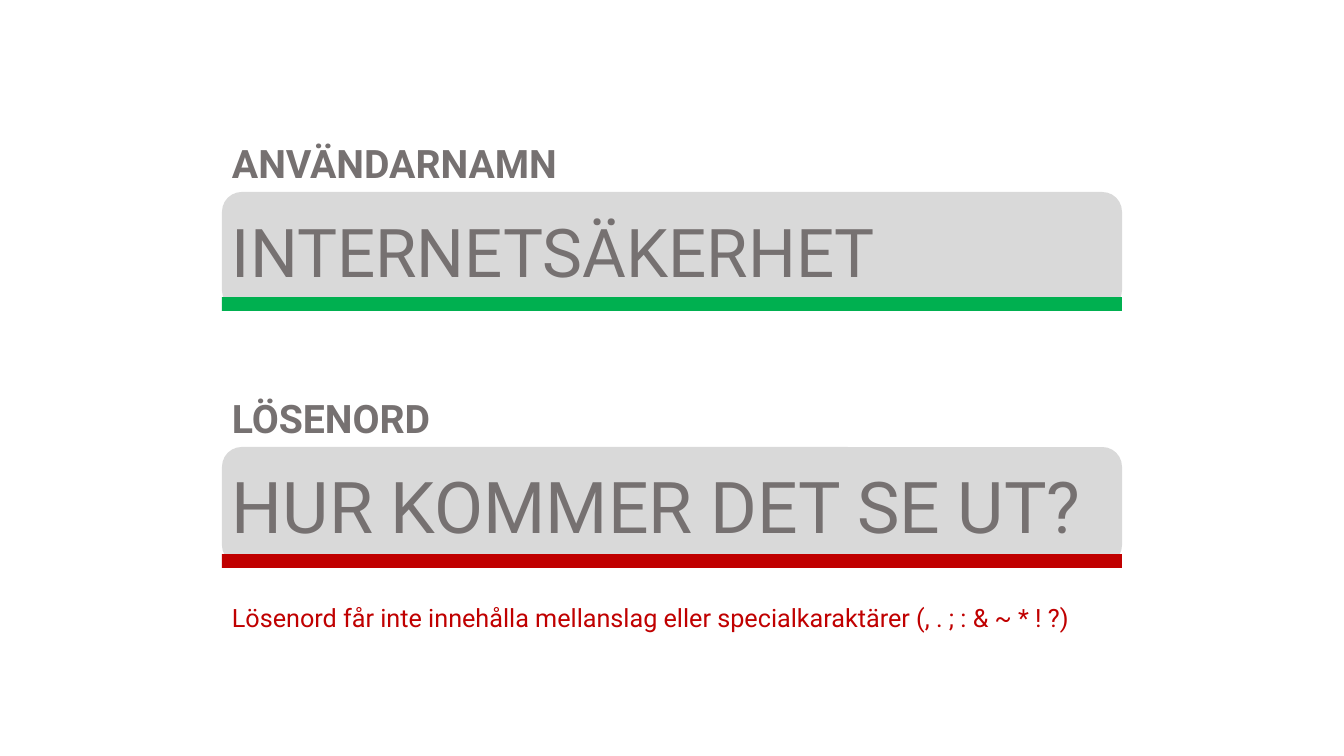
from pptx import Presentation
from pptx.dml.color import RGBColor
from pptx.enum.shapes import MSO_SHAPE as Shape
from pptx.enum.text import MSO_ANCHOR as Anchor, PP_ALIGN as Align
from pptx.util import Emu, Pt

GREY = RGBColor(0x76, 0x71, 0x71)
PALE = RGBColor(0xD9, 0xD9, 0xD9)
GREEN = RGBColor(0x00, 0xB0, 0x50)
RED = RGBColor(0xC0, 0x00, 0x00)
FONT = "Roboto"
LEFT, WIDTH = 222, 900
ROW = 88


def px(n):
    return Emu(round(n * 12192000 / 1344))


def frame(top, height):
    return px(LEFT), px(top), px(WIDTH), px(height)


def add_box(slide, kind, top, height, color):
    box = slide.shapes.add_shape(kind, *frame(top, height))
    box.shadow.inherit = False
    box.fill.solid()
    box.fill.fore_color.rgb = color
    box.line.fill.background()


def add_text(slide, top, height, text, size, color=GREY, bold=False, space=0.9):
    body = slide.shapes.add_textbox(*frame(top, height)).text_frame
    body.word_wrap = True
    body.vertical_anchor = Anchor.BOTTOM
    para = body.paragraphs[0]
    para.alignment = Align.LEFT
    para.line_spacing = space
    run = para.add_run()
    run.text = text
    run.font.name = FONT
    run.font.size = Pt(size)
    run.font.bold = bold
    run.font.color.rgb = color


def add_field(slide, top, bar, color, label, value, size, space):
    add_box(slide, Shape.ROUNDED_RECTANGLE, top, 118, PALE)
    add_box(slide, Shape.RECTANGLE, bar, 14, color)
    add_text(slide, top + 17, ROW, value, size, space=space)
    add_text(slide, top - ROW, ROW, label, 28, bold=True)


def main():
    deck = Presentation()
    deck.slide_width, deck.slide_height = px(1344), px(756)
    slide = deck.slides.add_slide(deck.slide_layouts[6])
    add_field(slide, 192, 297, GREEN, "ANVÄNDARNAMN", "INTERNETSÄKERHET", 48, 0.9)
    add_field(slide, 447, 554, RED, "LÖSENORD", "HUR KOMMER DET SE UT?", 51, 0.8)
    add_text(slide, 583, 55,
             "Lösenord får inte innehålla mellanslag eller specialkaraktärer "
             "(, . ; : & ~ * ! ?)", 18, RED)
    deck.save("out.pptx")


main()
